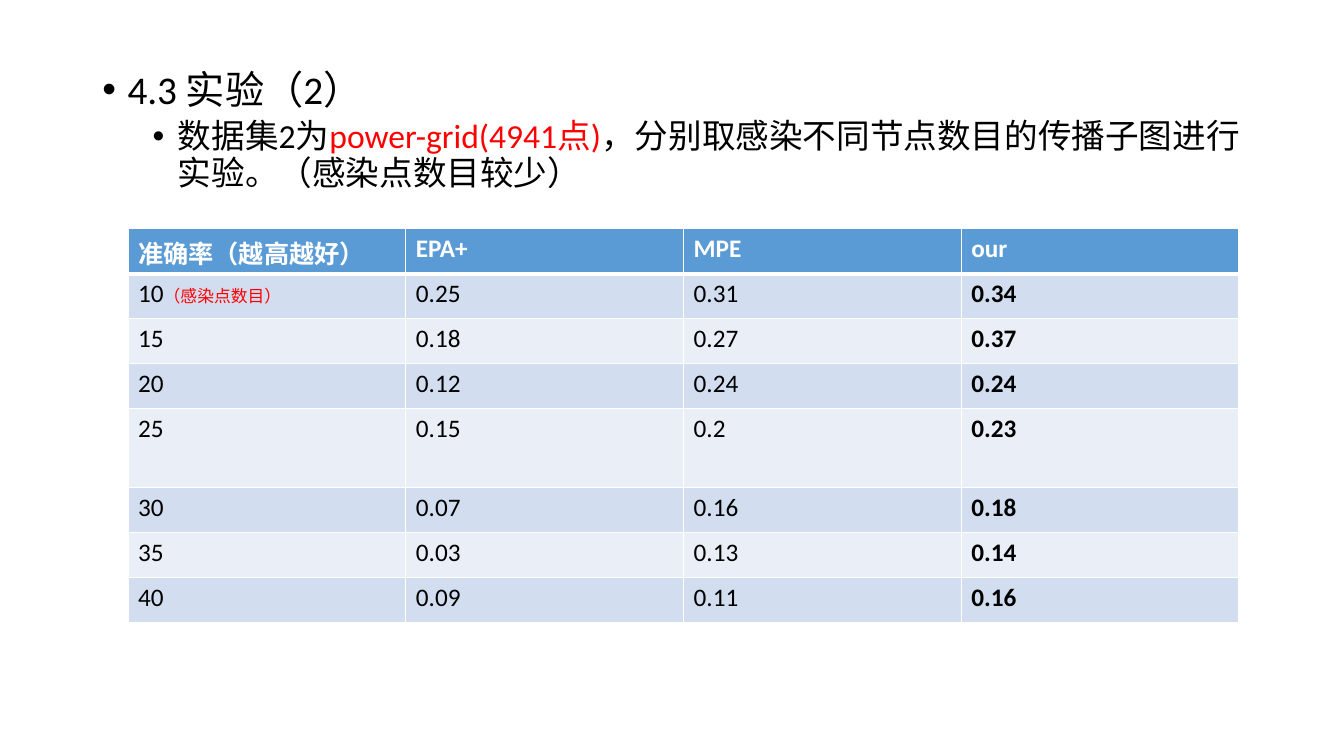
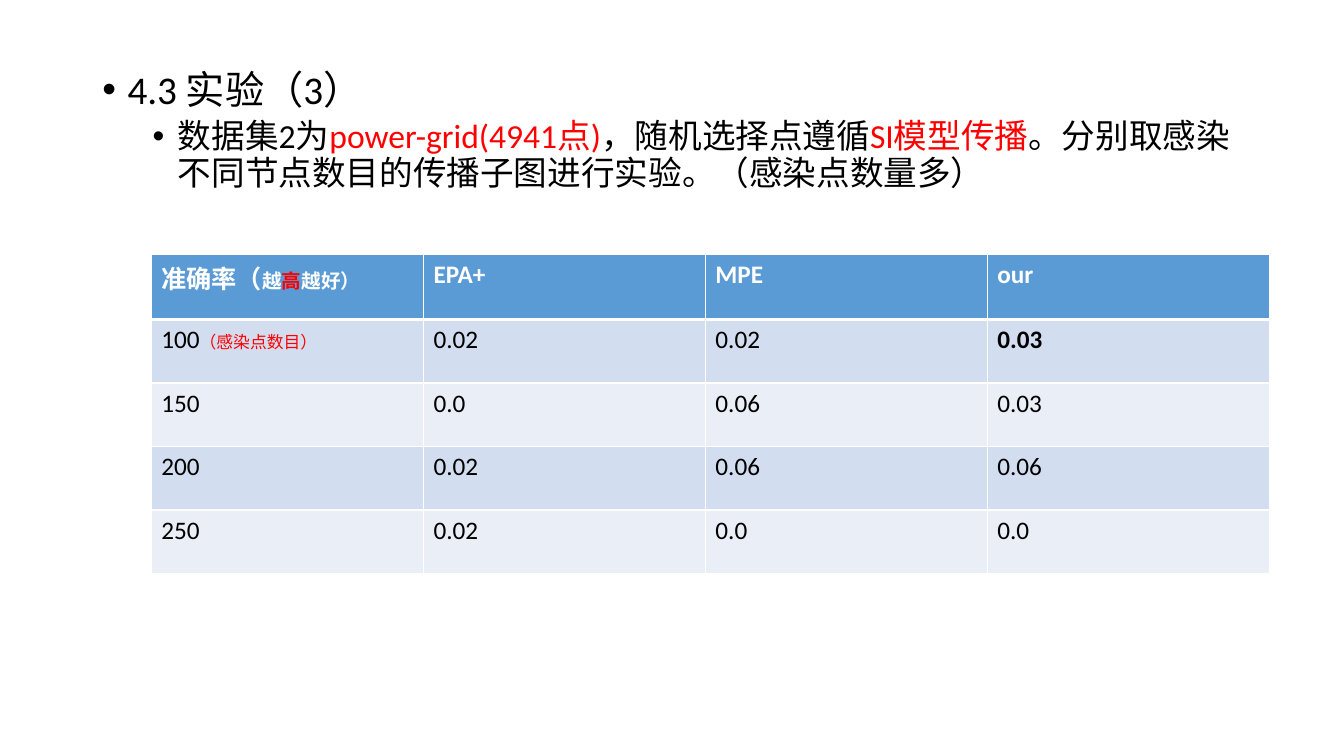
from dataclasses import dataclass

from lxml.etree import SubElement
from pptx import Presentation
from pptx.dml.color import RGBColor
from pptx.oxml.ns import qn
from pptx.util import Emu, Inches, Pt


@dataclass(frozen=True)
class Theme:
    """Colours, font and type sizes shared by the slides."""
    font: str = "Calibri"
    ink: str = "000000"
    white: str = "FFFFFF"
    accent: str = "FF0000"
    header: str = "5B9BD5"
    bands: tuple = ("D2DEEF", "EAEFF7")
    title: int = 28
    body: int = 24
    cell: int = 18
    small: int = 14
    note: int = 12


THEME = Theme()
SLIDE_WIDTH, SLIDE_HEIGHT = Inches(13.33), Inches(7.5)
GRID_ROWS = 90  # square grid units, 160 of them across the slide
BODY_BOX = (11, 7.8, 138, 73.3)

TITLE = {"size": THEME.title, "color": THEME.ink}
BODY = {"size": THEME.body, "color": THEME.ink}
BODY_RED = {**BODY, "color": THEME.accent}
HEAD = {"size": THEME.cell, "color": THEME.white, "bold": True}
HEAD_SMALL = {**HEAD, "size": THEME.small}
HEAD_RED = {**HEAD_SMALL, "color": THEME.accent}
CELL = {"size": THEME.cell, "color": THEME.ink, "bold": False}
BEST = {**CELL, "bold": True}
NOTE = {**CELL, "size": THEME.note, "color": THEME.accent}

METHODS = ("EPA+", "MPE", "our")
ROW_NOTE = ("（感染点数目）", NOTE)
DATASET = [("数据集2为", BODY), ("power-grid(4941点)", BODY_RED)]

EXPERIMENTS = (
    {
        "title": "4.3 实验（2）",
        "summary": DATASET + [
            ("，分别取感染不同节点数目的传播子图进行实验。（感染点数目较少）", BODY)],
        "corner": [("准确率（越高越好）", HEAD)],
        "origin": (15.24, 27.24),
        "columns": (33.06,) * 4,
        "rows": (5.36,) * 4 + (9.36,) + (5.36,) * 3,
        "results": (
            ("10", "0.25", "0.31", "0.34"),
            ("15", "0.18", "0.27", "0.37"),
            ("20", "0.12", "0.24", "0.24"),
            ("25", "0.15", "0.2", "0.23"),
            ("30", "0.07", "0.16", "0.18"),
            ("35", "0.03", "0.13", "0.14"),
            ("40", "0.09", "0.11", "0.16"),
        ),
        "best_rows": 7,
    },
    {
        "title": "4.3 实验（3）",
        "summary": DATASET + [
            ("，随机选择点遵循", BODY), ("SI模型传播", BODY_RED),
            ("。分别取感染不同节点数目的传播子图进行实验。（感染点数量多）", BODY)],
        "corner": [("准确率（", HEAD), ("越", HEAD_SMALL),
                   ("高", HEAD_RED), ("越好）", HEAD_SMALL)],
        "origin": (18, 30.24),
        "columns": (32.4,) + (33.55,) * 3,
        "rows": (7.8,) + (7.56,) * 4,
        "results": (
            ("100", "0.02", "0.02", "0.03"),
            ("150", "0.0", "0.06", "0.03"),
            ("200", "0.02", "0.06", "0.06"),
            ("250", "0.02", "0.0", "0.0"),
        ),
        "best_rows": 1,
    },
)


def grid(units):
    """Convert grid units to a slide length."""
    return Emu(round(units * SLIDE_HEIGHT / GRID_ROWS))


def add_runs(paragraph, runs):
    """Write (text, format) runs into a paragraph."""
    for text, style in runs:
        run = paragraph.add_run()
        run.text = text
        values = {**style, "name": THEME.font, "size": Pt(style["size"])}
        run.font.color.rgb = RGBColor.from_string(values.pop("color"))
        for name, value in values.items():
            setattr(run.font, name, value)


def format_bullet(paragraph, level, space_before):
    """Give a paragraph its level, spacing, hanging indent and bullet."""
    values = {"level": level, "line_spacing": 0.9, "space_before": Pt(space_before)}
    for name, value in values.items():
        setattr(paragraph, name, value)
    properties = paragraph._p.get_or_add_pPr()
    properties.set("marL", str(Inches(0.25 + 0.5 * level)))
    properties.set("indent", str(Inches(-0.25)))
    SubElement(properties, qn("a:buFont"), typeface="Arial")
    SubElement(properties, qn("a:buChar"), char="•")


def add_outline(slide, title, summary):
    """Add the bulleted heading and its summary."""
    frame = slide.shapes.add_textbox(*map(grid, BODY_BOX)).text_frame
    frame.word_wrap = True
    for level, (runs, space) in enumerate((([(title, TITLE)], 10), (summary, 5))):
        paragraph = frame.add_paragraph() if level else frame.paragraphs[0]
        format_bullet(paragraph, level, space)
        add_runs(paragraph, runs)


def add_borders(cell, top, bottom):
    """Draw white cell borders; top and bottom are widths in points."""
    properties = cell._tc.get_or_add_tcPr()
    widths = {"a:lnL": 1, "a:lnR": 1, "a:lnT": top, "a:lnB": bottom}
    for position, (tag, width) in enumerate(widths.items()):
        line = SubElement(properties, qn(tag), w=str(Pt(width)))
        SubElement(SubElement(line, qn("a:solidFill")), qn("a:srgbClr"),
                   val=THEME.white)
        properties.insert(position, line)


def result_rows(experiment):
    """Return the table contents as rows of run lists."""
    rows = [[experiment["corner"]] + [[(name, HEAD)] for name in METHODS]]
    for index, values in enumerate(experiment["results"]):
        row = [[(value, CELL)] for value in values]
        if index == 0:
            row[0].append(ROW_NOTE)
        if index < experiment["best_rows"]:
            row[-1] = [(values[-1], BEST)]
        rows.append(row)
    return rows


def add_result_table(slide, experiment):
    """Add the banded accuracy table."""
    widths, heights = experiment["columns"], experiment["rows"]
    box = (*experiment["origin"], sum(widths), sum(heights))
    table = slide.shapes.add_table(len(heights), len(widths), *map(grid, box)).table
    for column, width in zip(table.columns, widths):
        column.width = grid(width)
    for index, row in enumerate(result_rows(experiment)):
        table.rows[index].height = grid(heights[index])
        color = THEME.bands[(index - 1) % 2] if index else THEME.header
        for cell, runs in zip(table.rows[index].cells, row):
            cell.fill.solid()
            cell.fill.fore_color.rgb = RGBColor.from_string(color)
            add_borders(cell, 3 if index == 1 else 1, 1 if index else 3)
            add_runs(cell.text_frame.paragraphs[0], runs)


def main():
    """Build and save the experiment slides."""
    presentation = Presentation()
    presentation.slide_width = SLIDE_WIDTH
    presentation.slide_height = SLIDE_HEIGHT
    for experiment in EXPERIMENTS:
        slide = presentation.slides.add_slide(presentation.slide_layouts[6])
        add_outline(slide, experiment["title"], experiment["summary"])
        add_result_table(slide, experiment)
    presentation.save("out.pptx")


main()
